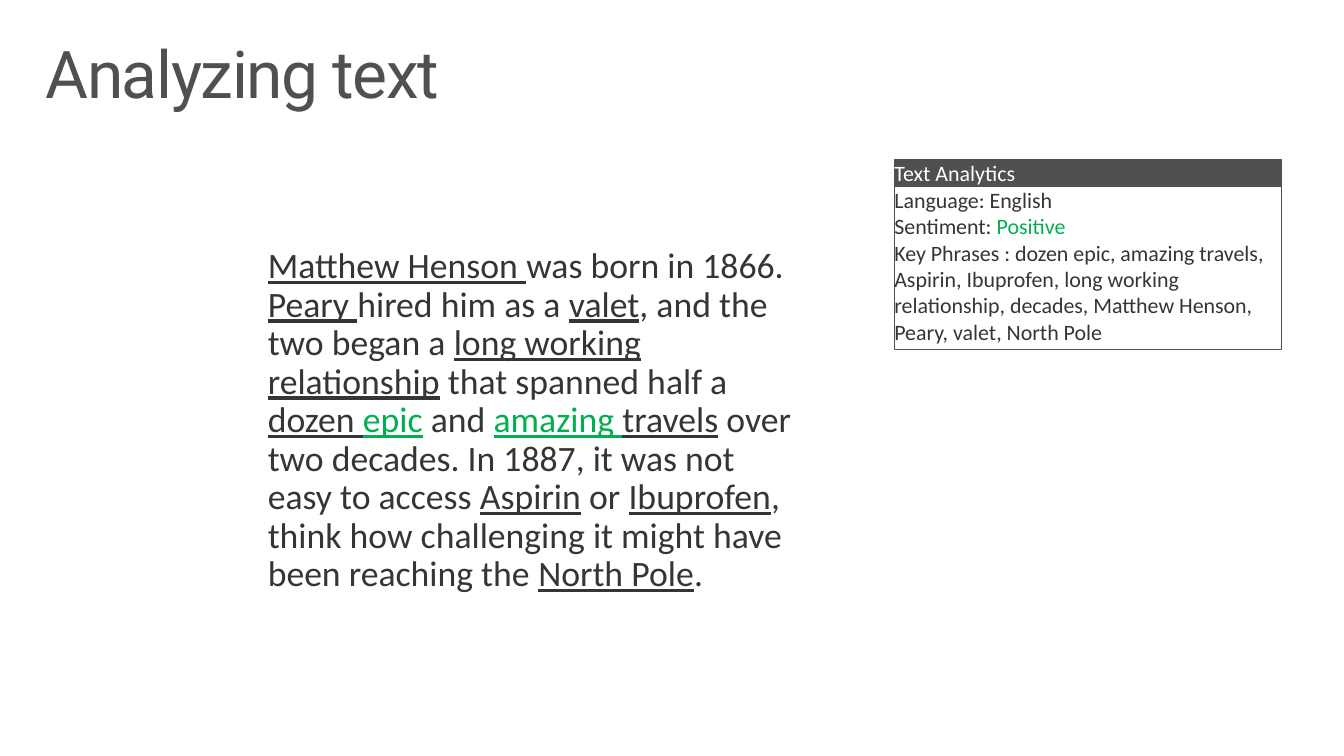
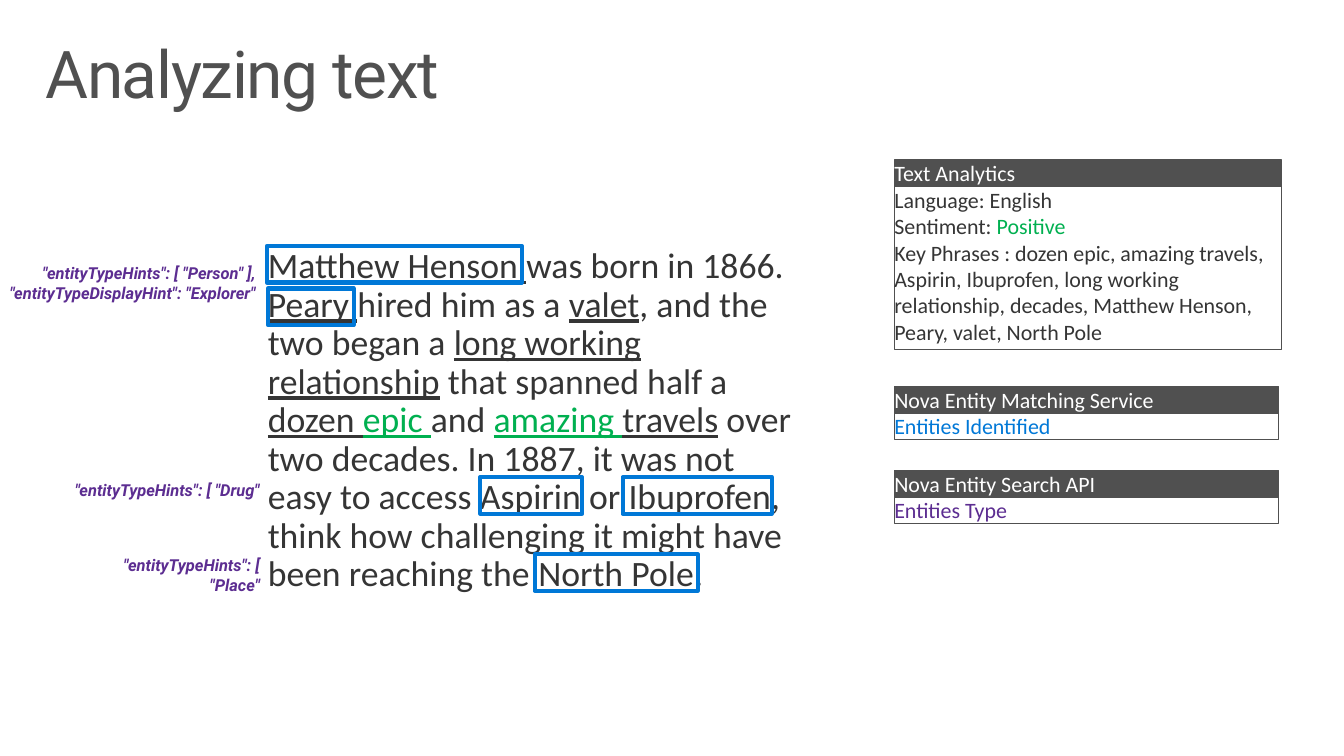
from dataclasses import dataclass

from lxml.etree import SubElement
from pptx import Presentation
from pptx.dml.color import RGBColor as Color
from pptx.enum.shapes import MSO_SHAPE as Preset
from pptx.enum.text import MSO_ANCHOR as Anchor, MSO_AUTO_SIZE as AutoSize, PP_ALIGN as Align
from pptx.oxml.ns import qn
from pptx.util import Pt


@dataclass(frozen=True)
class Theme:
    """Colours, fonts and sizes used on every slide."""
    white: str = "FFFFFF"
    gray: str = "505050"
    ink: str = "353535"
    green: str = "00B050"
    blue: str = "0078D7"
    purple: str = "5C2D91"
    heading_font: str = "Roboto"
    text_font: str = "Calibri"
    title_size: float = 48
    passage_size: float = 26
    card_size: float = 16
    hint_size: float = 12
    thin: float = 0.85
    thick: float = 3


@dataclass(frozen=True)
class Box:
    """A rectangle in points."""
    left: float
    top: float
    width: float
    height: float

    def inside(self, left, top, width, height):
        """Return a box whose corner is counted from this one."""
        return Box(self.left + left, self.top + top, width, height)

    def lengths(self):
        """Return the four lengths for python-pptx."""
        return [Pt(value) for value in (self.left, self.top, self.width, self.height)]


THEME = Theme()
SLIDE = Box(0, 0, 979.2, 550.8)
TITLE = Box(21.6, 23, 936, 72)
PASSAGE = Box(183.6, 173.5, 414, 270)
CARD_LEFT, HEADER_HEIGHT, HIGHLIGHT_HEIGHT, HINT_LINE = 651.6, 19.44, 26.6, 14.4
PLACEHOLDER_INSETS = (11.5, 7.2)

UNDERLINED = {"underline": True}
PRAISE = {"underline": True, "color": THEME.green}

ANALYTICS_LINES = [
    [("Language: English", {})],
    [("Sentiment: ", {}), ("Positive", {"color": THEME.green})],
    [("Key Phrases : dozen epic, amazing travels, Aspirin, Ibuprofen, long working "
      "relationship, decades, Matthew Henson, Peary, valet, North Pole", {})],
]
ANALYTICS_CARD = (Box(CARD_LEFT, 116.6, 282.2, 138.2), "Text Analytics", ANALYTICS_LINES)
ENTITY_CARDS = [
    (Box(CARD_LEFT, 281.5, 280, 38.88), "Nova Entity Matching Service",
     [[("Entities Identified", {"color": THEME.blue})]]),
    (Box(CARD_LEFT, 342.7, 280, 38.88), "Nova Entity Search API",
     [[("Entities Type", {"color": THEME.purple})]]),
]
HIGHLIGHTS = [
    (10.8, 5.8, 185.8),
    (11.5, 36.7, 62.6),
    (166.3, 174.2, 74.2),
    (270, 174.2, 108.7),
    (205.9, 230.4, 118.8),
]
HINTS = [
    (18, ['"entityTypeHints": [ "Person" ], ', '"entityTypeDisplayHint": "Explorer" ']),
    (176.4, ['"entityTypeHints": [ "Drug"']),
    (231.1, ['"entityTypeHints": [', '"Place"']),
]


def passage_runs(epic, joint):
    """Return the passage as pairs of text and format."""
    return [
        ("Matthew Henson ", UNDERLINED), ("was born in 1866. ", {}),
        ("Peary ", UNDERLINED), ("hired him as a ", {}),
        ("valet", UNDERLINED), (", and the two began a ", {}),
        ("long working relationship", UNDERLINED), (" that spanned half a ", {}),
        ("dozen ", UNDERLINED), (epic, PRAISE), (joint, {}),
        ("amazing ", PRAISE), ("travels", UNDERLINED),
        (" over two decades. In 1887, it was not easy to access ", {}),
        ("Aspirin", UNDERLINED), (" or ", {}), ("Ibuprofen", UNDERLINED),
        (", think how challenging it might have been reaching the ", {}),
        ("North Pole", UNDERLINED), (".", {}),
    ]


def write_text(paragraph, text, *, size, font=THEME.text_font, color=THEME.ink,
               bold=False, italic=False, underline=False, tracking=0):
    """Add one formatted run to a paragraph."""
    run = paragraph.add_run()
    run.text = text
    run.font.name, run.font.size = font, Pt(size)
    run.font.bold, run.font.italic, run.font.underline = bold, italic, underline
    run.font.color.rgb = Color.from_string(color)
    if tracking:
        run.font._element.set("spc", str(round(tracking * 100)))


def fill_frame(frame, lines, *, insets=(0, 0), align=Align.LEFT, spacing=None, **style):
    """Write lines of runs into a text frame."""
    frame.word_wrap, frame.auto_size = True, AutoSize.NONE
    frame.vertical_anchor = Anchor.TOP
    frame.margin_left = frame.margin_right = Pt(insets[0])
    frame.margin_top = frame.margin_bottom = Pt(insets[1])
    for index, runs in enumerate(lines):
        paragraph = frame.add_paragraph() if index else frame.paragraphs[0]
        paragraph.alignment, paragraph.line_spacing = align, spacing
        paragraph.space_before = Pt(0)
        for text, changes in runs:
            write_text(paragraph, text, **(style | changes))


def place(shape, box):
    """Move a placeholder to a box."""
    shape.left, shape.top, shape.width, shape.height = box.lengths()


def add_rectangle(slide, box, line, weight, fill=None):
    """Add a flat rectangle, hollow unless a fill is given."""
    shape = slide.shapes.add_shape(Preset.RECTANGLE, *box.lengths())
    shape.shadow.inherit = False
    shape.line.color.rgb, shape.line.width = Color.from_string(line), Pt(weight)
    if fill:
        shape.fill.solid()
        shape.fill.fore_color.rgb = Color.from_string(fill)
    else:
        shape.fill.background()
    return shape


def add_title(slide, box, text):
    """Fill the title placeholder."""
    place(slide.shapes.title, box)
    fill_frame(slide.shapes.title.text_frame, [[(text, {})]], insets=PLACEHOLDER_INSETS,
               spacing=0.9, size=THEME.title_size, font=THEME.heading_font,
               color=THEME.gray, tracking=-1)


def add_passage(slide, box, runs):
    """Fill the body placeholder with one paragraph without a bullet."""
    body = slide.placeholders[1]
    place(body, box)
    fill_frame(body.text_frame, [runs], insets=PLACEHOLDER_INSETS, spacing=0.9,
               size=THEME.passage_size)
    properties = body.text_frame.paragraphs[0]._p.get_or_add_pPr()
    properties.set("marL", "0")
    properties.set("indent", "0")
    SubElement(properties, qn("a:buNone"))


def add_card(slide, box, heading, lines):
    """Add a dark heading bar above a framed list of results."""
    content = box.inside(0, HEADER_HEIGHT, box.width, box.height - HEADER_HEIGHT)
    header = box.inside(0, 0, box.width, HEADER_HEIGHT)
    parts = [(content, THEME.white, THEME.ink, lines),
             (header, THEME.gray, THEME.white, [[(heading, {})]])]
    for part, fill, color, text in parts:
        shape = add_rectangle(slide, part, THEME.gray, THEME.thin, fill)
        fill_frame(shape.text_frame, text, size=THEME.card_size, color=color)


def add_entities(slide, box):
    """Frame the entities in the passage and label their types on its left."""
    for left, top, width in HIGHLIGHTS:
        add_rectangle(slide, box.inside(left, top, width, HIGHLIGHT_HEIGHT),
                      THEME.blue, THEME.thick)
    for top, lines in HINTS:
        area = box.inside(-180, top, 185.8, HINT_LINE * len(lines))
        label = slide.shapes.add_textbox(*area.lengths())
        fill_frame(label.text_frame, [[(line, {})] for line in lines], align=Align.RIGHT,
                   size=THEME.hint_size, font=THEME.heading_font, color=THEME.purple,
                   bold=True, italic=True)


def add_analysis_slide(presentation, runs, cards, entities=False):
    """Add a slide with the passage, its result cards and optional entity marks."""
    slide = presentation.slides.add_slide(presentation.slide_layouts[1])
    add_title(slide, TITLE, "Analyzing text")
    add_passage(slide, PASSAGE, runs)
    if entities:
        add_entities(slide, PASSAGE)
    for box, heading, lines in cards:
        add_card(slide, box, heading, lines)


def main():
    """Build and save the presentation."""
    presentation = Presentation()
    presentation.slide_width, presentation.slide_height = Pt(SLIDE.width), Pt(SLIDE.height)
    add_analysis_slide(presentation, passage_runs("epic", " and "), [ANALYTICS_CARD])
    add_analysis_slide(presentation, passage_runs("epic ", "and "),
                       [ANALYTICS_CARD, *ENTITY_CARDS], entities=True)
    presentation.save("out.pptx")


if __name__ == "__main__":
    main()
